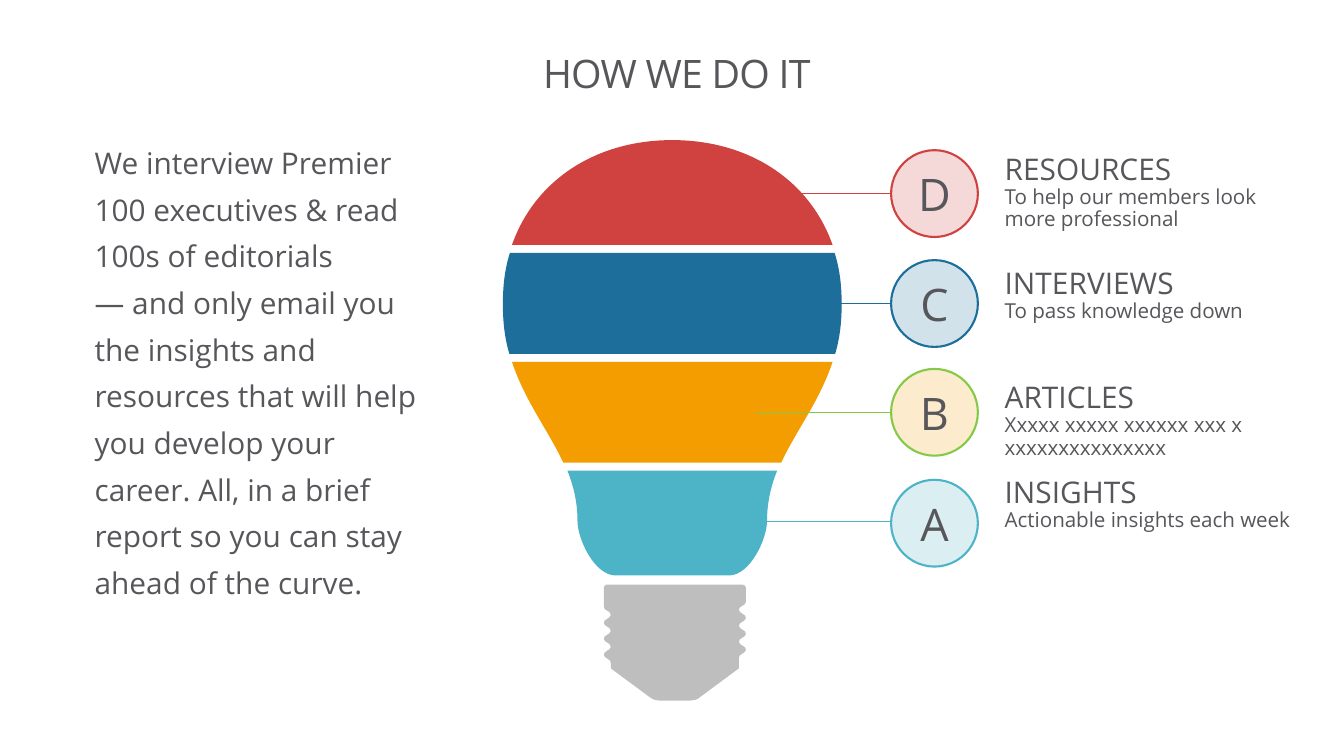
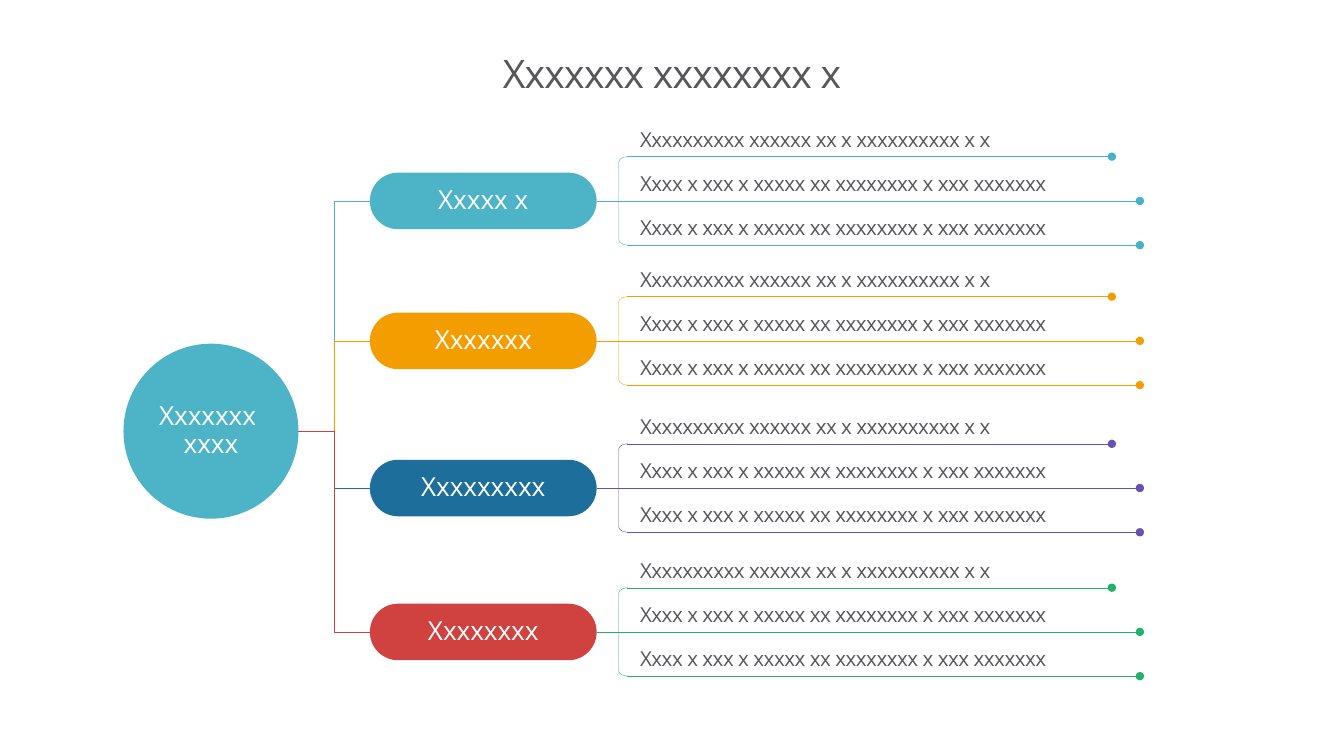
from lxml.etree import SubElement
from pptx import Presentation
from pptx.dml.color import RGBColor
from pptx.enum.shapes import MSO_CONNECTOR, MSO_SHAPE
from pptx.enum.text import MSO_ANCHOR, MSO_AUTO_SIZE, PP_ALIGN
from pptx.oxml.ns import qn
from pptx.util import Pt

INK, WHITE = "57565A", "FFFFFF"
TEAL, ORANGE, BLUE, RED = "4DB3C7", "F49D00", "1D6E9B", "CF423F"
LIME, GREY = "85CA46", "7F7F7F"
AQUA, PURPLE, GREEN = "48B1C6", "6850B4", "21B169"

TITLE = {"size": 28, "spacing": 0.86, "align": PP_ALIGN.CENTER, "tracking": -50}
STORY = {"size": 21.33, "spacing": 1.3}
HEADING = {"size": 21.33, "spacing": 0.9}
DETAIL = {"size": 14.67, "spacing": 0.9}
LETTER = {"size": 32, "align": PP_ALIGN.CENTER}
NODE = {"size": 18.67, "spacing": 0.9, "align": PP_ALIGN.CENTER, "color": WHITE}
LEAF = {"size": 14.67, "spacing": 0.89, "tracking": -30}

GROWING = {"word_wrap": True, "auto_size": MSO_AUTO_SIZE.SHAPE_TO_FIT_TEXT}
CENTERED = {"word_wrap": True, "vertical_anchor": MSO_ANCHOR.MIDDLE}

NBSP = chr(160)
STORY_TEXT = (
    "We interview Premier 100 executives & read 100s of editorials "
    f"―{NBSP}and only email you the insights and resources that will help you "
    f"develop your career.{NBSP}All,{NBSP}in a brief report so you can stay ahead "
    "of the curve."
)
CALLOUTS = [
    ("D", "RESOURCES", "To help our members look more professional",
     RED, RED, 107.3, (540, 138.2), (106.6, 206.6, 62.6)),
    ("C", "INTERVIEWS", "To pass knowledge down",
     BLUE, BLUE, 185.8, (570, 216.7), (188.2, 206.6, 46.8)),
    ("B", "ARTICLES", "Xxxxx xxxxx xxxxxx xxx x xxxxxxxxxxxxxxx",
     ORANGE, LIME, 263.5, (540, 294.5), (270, 206.6, 62.6)),
    ("A", "INSIGHTS", "Actionable insights each week",
     TEAL, TEAL, 342.7, (516, 372.2), (337.7, 223.2, 46.8)),
]
BULB_AXIS = 480.2
BULB_BANDS = [
    (RED, [(480.2, 100.1), (534.2, 100.1, 578.2, 128.2, 594.7, 175)]),
    (BLUE, [(596.2, 180.7), (599.8, 192.2, 601.2, 203.8, 601.2, 217.4),
            (601.2, 230.4, 599.8, 241.9, 596.6, 252.7)]),
    (TEAL, [(555.1, 336.2), (550.8, 347, 547.9, 358.6, 547.9, 372.2),
            (547.9, 385.2, 535.7, 411.1, 520.6, 411.1)]),
    (ORANGE, [(594.7, 258.5), (585.4, 286.6, 568.8, 307.4, 558, 330.5)]),
]
BRANCHES = [
    ("Xxxxx x", TEAL, AQUA, 143.5),
    ("Xxxxxxx", ORANGE, ORANGE, 243.5),
    ("Xxxxxxxxx", BLUE, PURPLE, 348.6),
    ("Xxxxxxxx", RED, GREEN, 451.4),
]
LEAVES = [
    ("Xxxxxxxxxx xxxxxx xx x xxxxxxxxxx x x", 794.2),
    ("Xxxx x xxx x xxxxx xx xxxxxxxx x xxx xxxxxxx", 814.2),
    ("Xxxx x xxx x xxxxx xx xxxxxxxx x xxx xxxxxxx", 814.2),
]


def colour(value):
    """Turn a hex string into a colour."""
    return RGBColor.from_string(value)


def apply(target, formats):
    """Set every attribute named in a dict of format values."""
    for name, value in formats.items():
        setattr(target, name, value)


def margins(left, top, right, bottom):
    """Give the inner margins of a text frame as format values."""
    return {"margin_left": Pt(left), "margin_top": Pt(top),
            "margin_right": Pt(right), "margin_bottom": Pt(bottom)}


def write(frame, lines, formats):
    """Fill a text frame with one paragraph per pair of text and style."""
    apply(frame, formats)
    for index, (text, style) in enumerate(lines):
        paragraph = frame.add_paragraph() if index else frame.paragraphs[0]
        paragraph.text = text
        apply(paragraph, {"alignment": style.get("align", PP_ALIGN.LEFT),
                          "line_spacing": style.get("spacing", 1.0)})
        for run in paragraph.runs:
            apply(run.font, {"name": "Open Sans", "size": Pt(style["size"])})
            run.font.color.rgb = colour(style.get("color", INK))
            if "tracking" in style:
                run._r.get_or_add_rPr().set("spc", str(style["tracking"]))


def add_text(slide, box, lines, formats):
    """Add a text box."""
    label = slide.shapes.add_textbox(*map(Pt, box))
    write(label.text_frame, lines, formats)


def paint(shape, fill=None, opacity=None, outline=None, width=1.5):
    """Set the fill and outline of a shape and drop its shadow."""
    shape.shadow.inherit = False
    if fill:
        shape.fill.solid()
        shape.fill.fore_color.rgb = colour(fill)
        if opacity:
            tint = shape._element.spPr.find(qn("a:solidFill"))[0]
            SubElement(tint, qn("a:alpha")).set("val", str(opacity * 1000))
    else:
        shape.fill.background()
    if outline:
        shape.line.color.rgb = colour(outline)
        shape.line.width = Pt(width)
    else:
        shape.line.fill.background()


def add_preset(slide, kind, box, **look):
    """Add a painted preset shape."""
    shape = slide.shapes.add_shape(kind, *map(Pt, box))
    paint(shape, **look)
    return shape


def add_line(slide, start, end, color, width, kind=MSO_CONNECTOR.STRAIGHT, dot=False):
    """Add a connector, with a dot at its end if asked."""
    line = slide.shapes.add_connector(kind, *map(Pt, start + end))
    line.line.color.rgb = colour(color)
    line.line.width = Pt(width)
    properties = line._element.spPr
    if dot:
        SubElement(properties.find(qn("a:ln")), qn("a:tailEnd")).set("type", "oval")
    SubElement(properties, qn("a:effectLst"))
    return line


def add_outline(slide, steps, **look):
    """Add a closed freeform of lines (two numbers) and curves (six numbers)."""
    ends = [(Pt(step[-2]), Pt(step[-1])) for step in steps]
    builder = slide.shapes.build_freeform(*ends[0], scale=1.0)
    builder.add_line_segments(ends[1:], close=False)
    builder.add_line_segments([], close=True)
    shape = builder.convert_to_shape()
    segments = list(shape._element.spPr.iter(qn("a:lnTo")))
    for segment, step in zip(segments, steps[1:]):
        if len(step) == 6:
            bend(segment, step, shape.left, shape.top)
    paint(shape, **look)


def bend(segment, step, left, top):
    """Turn a straight segment into a cubic curve."""
    segment.tag = qn("a:cubicBezTo")
    segment.remove(segment[0])
    for x, y in zip(step[::2], step[1::2]):
        point = SubElement(segment, qn("a:pt"))
        point.set("x", str(Pt(x) - left))
        point.set("y", str(Pt(y) - top))


def backward(steps):
    """List the steps of an outline from its end to its start."""
    turned = [steps[-1][-2:]]
    for before, step in zip(steps[-2::-1], steps[:0:-1]):
        turned.append(step[2:4] + step[:2] + before[-2:] if len(step) == 6 else before[-2:])
    return turned


def mirrored(steps):
    """Reflect the steps across the axis of the bulb."""
    return [tuple(value if i % 2 else 2 * BULB_AXIS - value for i, value in enumerate(step))
            for step in steps]


def thread(outer, inner, top, pitch=5.7):
    """List the waves of one side of the screw, from the top down."""
    waves = [(outer, top)]
    for turn in range(7):
        here, there = (inner, outer) if turn % 2 else (outer, inner)
        y = top + turn * pitch
        waves.append((here, y + pitch / 2, there, y + pitch / 2, there, y + pitch))
    return waves


def add_bulb(slide):
    """Draw the screw and the four coloured bands of the bulb."""
    screw = [
        (530.4, 417.6), (433.4, 417.6),
        (432.4, 417.6, 431.3, 418.6, 431.3, 419.8),
        *thread(431.3, 436.3, 433.4),
        (436.3, 477.4), (464.4, 498.2),
        (466.6, 499.7, 468.7, 500.4, 470.9, 500.4), (493.2, 500.4),
        (495.4, 500.4, 498.2, 499.7, 499.7, 498.2), (527.8, 477.4),
        *backward(thread(532.8, 527.8, 429.8)),
        (532.8, 419.8), (532.8, 418.6, 531.7, 417.6, 530.4, 417.6)]
    add_outline(slide, screw, fill=GREY, opacity=50)
    for color, half in BULB_BANDS:
        add_outline(slide, half + mirrored(backward(half)), fill=color)


def add_callout(slide, callout):
    """Add a lettered circle with its leader line and description."""
    letter, heading, detail, color, ring, badge_top, leader, text_box = callout
    badge_left, badge = 636.5, 62
    top, width, height = text_box
    add_line(slide, leader, (badge_left, leader[1]), ring, 0.75)
    circle = add_preset(slide, MSO_SHAPE.OVAL, (badge_left, badge_top, badge, badge),
                        fill=color, opacity=20, outline=ring)
    write(circle.text_frame, [(letter, LETTER)], {**CENTERED, "word_wrap": False})
    add_text(slide, (710.6, top, width, height),
             [(heading, HEADING), (detail, DETAIL)], GROWING)


def add_branch(slide, root, branch):
    """Add a pill joined to the root, with its bracket and leaves."""
    name, color, twig, middle = branch
    left, width, height, gap, fork = 264.2, 162, 40.4, 31.6, 447.8
    pill = add_preset(slide, MSO_SHAPE.ROUNDED_RECTANGLE,
                      (left, middle - height / 2, width, height), fill=color)
    pill.adjustments[0] = 0.5
    write(pill.text_frame, [(name, NODE)], {**CENTERED, **margins(3.6, 3.6, 3.6, 3.6)})
    elbow = add_line(slide, root, (left, middle), color, 0.25, MSO_CONNECTOR.ELBOW)
    elbow.end_connect(pill, 1)
    stem = add_line(slide, (left + width, middle), (fork, middle), twig, 0.25)
    stem.begin_connect(pill, 3)
    bracket = add_preset(slide, MSO_SHAPE.LEFT_BRACKET,
                         (fork - 6, middle - gap, 6.5, 2 * gap),
                         outline=twig, width=0.25)
    bracket.adjustments[0] = 0.65
    for row, (text, end) in enumerate(LEAVES):
        y = middle + (row - 1) * gap
        add_text(slide, (fork, y - 22.8, 403, 24.5), [(text, LEAF)],
                 {**GROWING, **margins(9.4, 3.6, 9.4, 5)})
        add_line(slide, (fork, y), (end, y), twig, 0.25, dot=True)


def add_slide(deck, title):
    """Add a blank slide with the shared title."""
    slide = deck.slides.add_slide(deck.slide_layouts[6])
    add_text(slide, (72, 22.3, 816, 64), [(title, TITLE)],
             {**CENTERED, **margins(0, 0, 0, 0)})
    return slide


def build_bulb_slide(deck):
    """Build the slide with the light bulb and its callouts."""
    slide = add_slide(deck, " HOW WE DO IT")
    add_bulb(slide)
    for callout in CALLOUTS:
        add_callout(slide, callout)
    add_text(slide, (60.5, 92.2, 252, 342), [(STORY_TEXT, STORY)], GROWING)


def build_tree_slide(deck):
    """Build the slide with the branching tree."""
    slide = add_slide(deck, "Xxxxxxx xxxxxxxx x")
    left, middle, size = 88.2, 308, 125
    hub = add_preset(slide, MSO_SHAPE.OVAL, (left, middle - size / 2, size, size), fill=TEAL)
    write(hub.text_frame, [("Xxxxxxx \vxxxx", NODE)],
          {**CENTERED, **margins(3.6, 3.6, 3.6, 3.6)})
    for branch in BRANCHES:
        add_branch(slide, (left + size, middle), branch)


def main():
    """Build and save the deck."""
    deck = Presentation()
    apply(deck, {"slide_width": Pt(960), "slide_height": Pt(540)})
    build_bulb_slide(deck)
    build_tree_slide(deck)
    deck.save("out.pptx")


if __name__ == "__main__":
    main()
